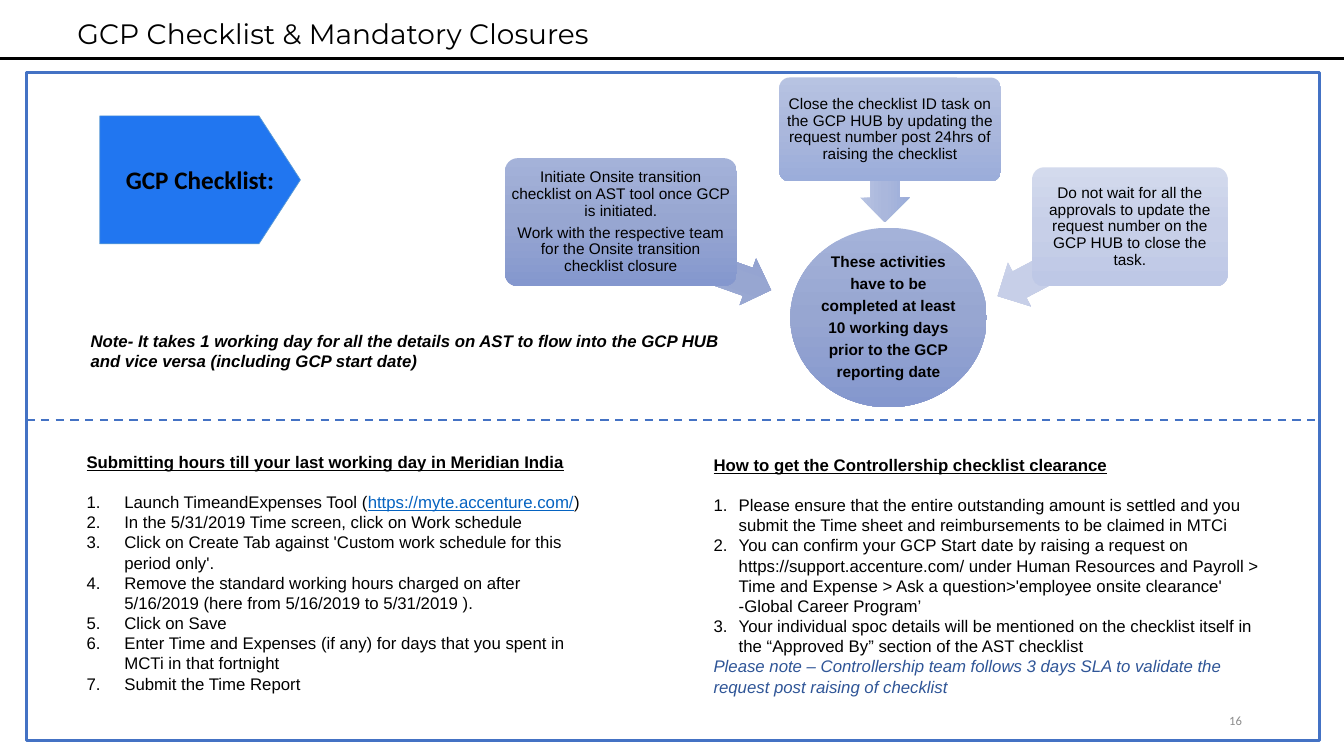
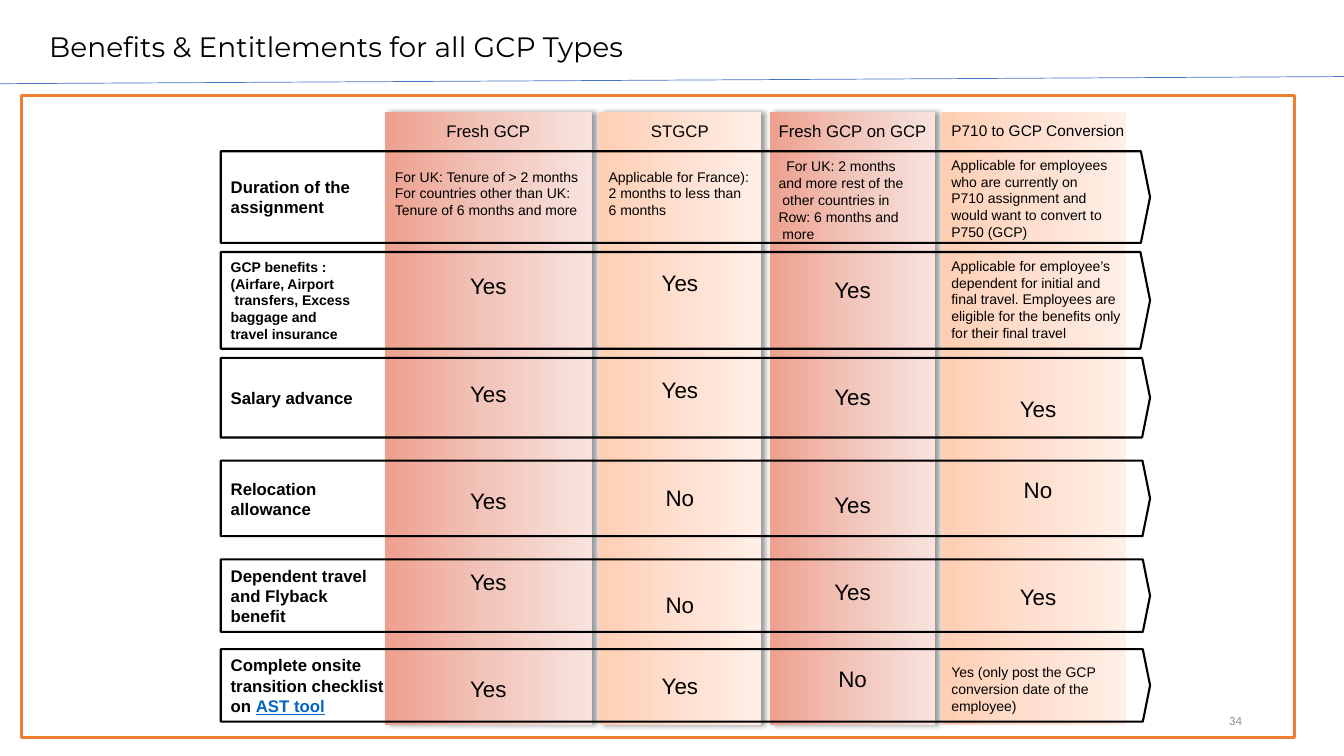
from copy import deepcopy
from dataclasses import dataclass, field

from lxml.etree import SubElement as Sub
from pptx import Presentation
from pptx.dml.color import RGBColor as Rgb
from pptx.enum.dml import MSO_LINE as Dash
from pptx.enum.shapes import MSO_CONNECTOR as Link, MSO_SHAPE as Kind
from pptx.enum.text import MSO_ANCHOR as Anchor, PP_ALIGN as Align
from pptx.oxml.ns import qn
from pptx.util import Pt

HEX = {
    "white": "FFFFFF", "black": "000000", "blue": "4472C4", "orange": "ED7D31",
    "tag": "2176F0", "edge": "5B9BD5", "link": "0563C1", "note": "2F5597",
    "gray": "8C8C8C",
}
GRAD = {
    "deep": ("A4B2D9", "97A6D1", "8497CE"),
    "mid": ("B7C3E2", "AAB7DC", "9BADDA"),
    "pale": ("D3DAED", "C7CFE8", "BEC8E6"),
    "red": ("EDA08E", "F2C5BB", "F8E3DE"),
    "peach": ("FFCEB3", "FFDFCF", "FFEFE7"),
}
BODY = {"name": "Arial", "size": Pt(12), "color": "black"}
BOLD = BODY | {"bold": True}
HEAD = BOLD | {"underline": True}
TITLE = {"name": "Montserrat", "size": Pt(20), "color": "black"}
PAGE = {"name": "Calibri", "size": Pt(9), "color": "gray"}
TAG = {"name": "Calibri", "size": Pt(18), "color": "black", "bold": True}
NODE = BODY | {"size": Pt(11)}
SMALL = BODY | {"size": Pt(10)}
BIG = BODY | {"size": Pt(16)}
LINK = {"color": "link", "underline": True}
PAD = (7.2, 3.6, 7.2, 3.6)
LEAD = 1.2  # line height per point of text size

Box = tuple[float, float, float, float]


@dataclass
class Para:
    """One paragraph; runs are (text, extra format), gap is in points of text size."""
    runs: str | tuple
    fmt: dict = field(default_factory=lambda: BODY)
    gap: float = 0
    align: Align = Align.LEFT
    left: float = 0
    num: bool = False
    tight: bool = False


@dataclass
class Node:
    box: Box
    kind: Kind
    grad: str
    lines: tuple
    fmt: dict
    pad: float


@dataclass
class Arrow:
    box: Box
    turn: float
    grad: str


@dataclass
class Col:
    left: float
    width: float
    grad: str
    paras: list
    shade: bool = True


@dataclass
class Row:
    top: float
    height: float
    paras: list


def style(font, fmt: dict) -> None:
    for key, val in fmt.items():
        if key == "color":
            font.color.rgb = Rgb.from_string(HEX[val])
        else:
            setattr(font, key, val)


def write(shape, paras: list[Para], pad: Box = PAD, anchor=Anchor.TOP, wrap=True) -> None:
    frame = shape.text_frame
    frame.word_wrap, frame.vertical_anchor = wrap, anchor
    for side, val in zip(("left", "top", "right", "bottom"), pad):
        setattr(frame, f"margin_{side}", Pt(val))
    for i, item in enumerate(paras):
        para = frame.add_paragraph() if i else frame.paragraphs[0]
        para.alignment = item.align
        props = para._p.get_or_add_pPr()
        if item.left:
            props.set("marL", str(Pt(item.left)))
            props.set("indent", str(Pt(-item.left) if item.num else 0))
        if item.num:
            Sub(props, qn("a:buAutoNum"), type="arabicPeriod")
        if item.gap:
            para.space_before = Pt(round(item.gap * LEAD, 1))
        if item.tight:
            para.line_spacing, para.space_after = 0.9, Pt(3.85)
        runs = ((item.runs, {}),) if isinstance(item.runs, str) else item.runs
        for text, extra in runs:
            run = para.add_run()
            run.text = text
            style(run.font, item.fmt | extra)


def label(slide, box: Box, paras: list[Para], **opts) -> None:
    write(slide.shapes.add_textbox(*map(Pt, box)), paras, **opts)


def paint(shape, fill: str = "", line: str = "", width: float = 1) -> None:
    shape.shadow.inherit = False
    if fill:
        shape.fill.solid()
        shape.fill.fore_color.rgb = Rgb.from_string(HEX[fill])
    else:
        shape.fill.background()
    if line:
        shape.line.color.rgb = Rgb.from_string(HEX[line])
        shape.line.width = Pt(width)
    else:
        shape.line.fill.background()


def blend(shape, grad: str, angle: float) -> None:
    """Fill with a three-stop gradient; angle runs counter-clockwise."""
    paint(shape)
    shape.fill.gradient()
    shape.fill.gradient_angle = angle
    stops = shape._element.spPr.find(".//" + qn("a:gsLst"))
    stops.append(deepcopy(stops[0]))
    for stop, color, pos in zip(shape.fill.gradient_stops, GRAD[grad], (0, 0.5, 1)):
        stop.color.rgb = Rgb.from_string(color)
        stop.position = pos


def shade(shape) -> None:
    """Cast a soft shadow to the right."""
    effects = shape._element.spPr.find(qn("a:effectLst"))
    cast = Sub(effects, qn("a:outerShdw"), blurRad=str(Pt(4)), dist=str(Pt(3)),
               dir="0", algn="l", rotWithShape="0")
    color = Sub(cast, qn("a:srgbClr"), val=HEX["black"])
    Sub(color, qn("a:alpha"), val="40000")


def rule(slide, ends: Box, color: str, width: float, dash=None) -> None:
    line = slide.shapes.add_connector(Link.STRAIGHT, *map(Pt, ends))
    line.line.color.rgb = Rgb.from_string(HEX[color])
    line.line.width = Pt(width)
    if dash:
        line.line.dash_style = dash
    Sub(line._element.spPr, qn("a:effectLst"))


def start(deck, title: str, spot: Box, page: str, panel: Box, color: str):
    """Add a slide with its panel, title and page number."""
    slide = deck.slides.add_slide(deck.slide_layouts[6])
    back = slide.shapes.add_shape(Kind.RECTANGLE, *map(Pt, panel))
    paint(back, "white", color, 2.25)
    label(slide, spot, [Para(title, TITLE)], wrap=False)
    label(slide, (678.2, 500.4, 216, 28.8), [Para(page, PAGE, align=Align.RIGHT)],
          anchor=Anchor.MIDDLE)
    return slide


ARROWS = [
    Arrow((428.4, 168.5, 126, 35.3), 199.5, "deep"),
    Arrow((599, 108, 66.2, 35.3), 270, "mid"),
    Arrow((706.3, 168.5, 108.7, 35.3), 332.2, "pale"),
]
NODES = [
    Node((564.5, 162.7, 140.4, 128.2), Kind.OVAL, "deep",
         ("These activities", "have to be", "completed at least", "10 working days",
          "prior to the GCP", "reporting date"), NODE | {"bold": True}, 0.7),
    Node((360.7, 113, 165.6, 91.4), Kind.ROUNDED_RECTANGLE, "deep",
         ("Initiate Onsite transition checklist on AST tool once GCP is initiated.",
          "Work with the respective team for the Onsite transition checklist closure"),
         NODE, 1.4),
    Node((556.6, 55.4, 158.4, 74.2), Kind.ROUNDED_RECTANGLE, "mid",
         ("Close the checklist ID task on the GCP HUB by updating the request number "
          "post 24hrs of raising the checklist",), NODE, 1.4),
    Node((737.3, 119.5, 139.7, 85), Kind.ROUNDED_RECTANGLE, "pale",
         ("Do not wait for all the approvals to update the request number on the "
          "GCP HUB to close the task.",), NODE, 1.4),
]
HOURS = [
    (("Launch TimeandExpenses Tool (", {}), ("https://myte.accenture.com/", LINK), (")", {})),
    "In the 5/31/2019 Time screen, click on Work schedule",
    "Click on Create Tab against 'Custom work schedule for this period only'.",
    "Remove the standard working hours charged on after 5/16/2019 "
    "(here from 5/16/2019 to 5/31/2019 ).",
    "Click on Save",
    "Enter Time and Expenses (if any) for days that you spent in MCTi in that fortnight",
    "Submit the Time Report",
]
CLEAR = [
    "Please ensure that the entire outstanding amount is settled and you submit the "
    "Time sheet and reimbursements to be claimed in MTCi",
    "You can confirm your GCP Start date by raising a request "
    "on https://support.accenture.com/ under Human Resources and Payroll > Time and "
    "Expense > Ask a question>'employee onsite clearance' -Global Career Program’",
    "Your individual spoc details will be mentioned on the checklist itself in the "
    "“Approved By” section of the AST checklist",
]


def steps(head: str, items: list, left: float) -> list[Para]:
    return [Para(head, HEAD)] + [
        Para(item, gap=0 if i else 12, left=left, num=True) for i, item in enumerate(items)]


def small(gap: float, *lines: str) -> list[Para]:
    return [Para(line, SMALL, gap=0 if i else gap) for i, line in enumerate(lines)]


def marks(*pairs: tuple[float, str]) -> list[Para]:
    return [Para(text, BIG, gap, Align.CENTER) for gap, text in pairs]


def top(text: str) -> list[Para]:
    return [Para(text, align=Align.CENTER)]


def bold(*lines, fmt: dict = BOLD) -> list[Para]:
    return [Para(line, fmt) for line in lines]


COLS = [
    Col(275, 147.6, "red", top("Fresh GCP") + small(
        16, "For UK: Tenure of > 2 months", "For countries other than UK:",
        "Tenure of 6 months and more")
        + marks((32, "Yes"), (48, "Yes"), (48, "Yes"), (32, "Yes"), (48, "Yes"))),
    Col(427.7, 116, "peach", top("STGCP") + small(
        16, "Applicable for France):", "2 months to less than", "6 months")
        + marks((30, "Yes"), (48, "Yes"), (48, "No"), (48, "No"), (32, "Yes"))),
    Col(550, 118, "red", top("Fresh GCP on GCP") + [
        Para("For UK: 2 months", SMALL, 10, left=5.6),
        Para("and more rest of the", SMALL),
        Para("other countries in", SMALL, left=2.8),
        Para("Row: 6 months and", SMALL),
        Para("more", SMALL, left=2.8)]
        + marks((20, "Yes"), (48, "Yes"), (48, "Yes"), (36, "Yes"), (36, "No"))),
    Col(672.5, 131.8, "peach", [Para("P710 to GCP Conversion", NODE)]
        + small(10, "Applicable for employees", "who are currently on",
                "P710 assignment and", "would want to convert to", "P750 (GCP)")
        + small(10, "Applicable for employee’s", "dependent for initial and",
                "final travel. Employees are", "eligible for the benefits only",
                "for their final travel")
        + marks((32, "Yes"), (32, "No"), (48, "Yes"))
        + small(32, "Yes (only post the GCP", "conversion date of the", "employee)"),
        shade=False),
]
PERKS = bold("GCP benefits :", "(Airfare, Airport", "transfers, Excess", "baggage and",
             "travel insurance", fmt=SMALL | {"bold": True})
PERKS[2].left = 2.8
ROWS = [
    Row(108, 65.5, bold("Duration of the", "assignment")),
    Row(180, 69.1, PERKS),
    Row(255.6, 56.9, bold("Salary advance")),
    Row(329, 54, bold("Relocation", "allowance")),
    Row(399.6, 51.8, bold("Dependent travel", "and Flyback", "benefit")),
    Row(463.7, 51.8, bold("Complete onsite", "transition checklist",
                          (("on ", {}), ("AST tool", LINK)))),
]


def closures(deck) -> None:
    slide = start(deck, "GCP Checklist & Mandatory Closures", (48.2, 8.6, 430.6, 31.7),
                  "16", (18.7, 51.8, 923.8, 477.4), "blue")
    rule(slide, (0, 41.8, 960, 41.8), "black", 1.5)
    rule(slide, (18.7, 300.2, 942.5, 300.2), "blue", 1.5, Dash.DASH)
    for item in ARROWS:
        arrow = slide.shapes.add_shape(Kind.LEFT_ARROW, *map(Pt, item.box))
        arrow.adjustments[0], arrow.adjustments[1] = 0.6, 0.5
        arrow.rotation = item.turn
        blend(arrow, item.grad, 270)
    for item in NODES:
        node = slide.shapes.add_shape(item.kind, *map(Pt, item.box))
        if item.kind == Kind.ROUNDED_RECTANGLE:
            node.adjustments[0] = 0.1
        blend(node, item.grad, 270)
        write(node, [Para(t, item.fmt, align=Align.CENTER, tight=True) for t in item.lines],
              (item.pad,) * 4, Anchor.MIDDLE)
    pen = slide.shapes.build_freeform(Pt(71.3), Pt(82.8))
    pen.add_line_segments([(Pt(x), Pt(y)) for x, y in (
        (185, 82.8), (214.6, 128.5), (185, 174.2), (71.3, 174.2))], close=True)
    tag = pen.convert_to_shape()
    paint(tag, "tag", "edge", 0.5)
    write(tag, [Para("GCP Checklist:", TAG, align=Align.CENTER)], anchor=Anchor.MIDDLE)
    label(slide, (57.6, 232.6, 472.3, 36), [Para(
        "Note- It takes 1 working day for all the details on AST to flow into the GCP HUB "
        "and vice versa (including GCP start date)", BOLD | {"italic": True})])
    label(slide, (54.7, 319, 380.2, 196.6), steps(
        "Submitting hours till your last working day in Meridian India", HOURS, 27))
    label(slide, (502.6, 321.1, 417.6, 181.4), steps(
        "How to get the Controllership checklist clearance", CLEAR, 18) + [Para(
            "Please note – Controllership team follows 3 days SLA to validate the request "
            "post raising of checklist", BODY | {"color": "note", "italic": True})])


def benefits(deck) -> None:
    slide = start(deck, "Benefits & Entitlements for all GCP Types", (28.1, 17.3, 475.9, 31.7),
                  "34", (15.1, 68.4, 909.4, 458.6), "orange")
    rule(slide, (0, 59.8, 960, 54.7), "blue", 0.5)
    for item in COLS:
        col = slide.shapes.add_shape(Kind.RECTANGLE, *map(Pt, (item.left, 80, item.width, 438)))
        blend(col, item.grad, 0)
        if item.shade:
            shade(col)
        write(col, item.paras, (7.2, 6.5, 7.2, 3.6), wrap=False)
    for item in ROWS:
        row = slide.shapes.add_shape(Kind.PENTAGON, *map(Pt, (157.7, item.top, 663.8, item.height)))
        row.adjustments[0] = 0.1
        paint(row, line="black", width=1.5)
        write(row, item.paras, anchor=Anchor.MIDDLE)


def main() -> None:
    deck = Presentation()
    deck.slide_width, deck.slide_height = Pt(960), Pt(540)
    closures(deck)
    benefits(deck)
    deck.save("out.pptx")


if __name__ == "__main__":
    main()
